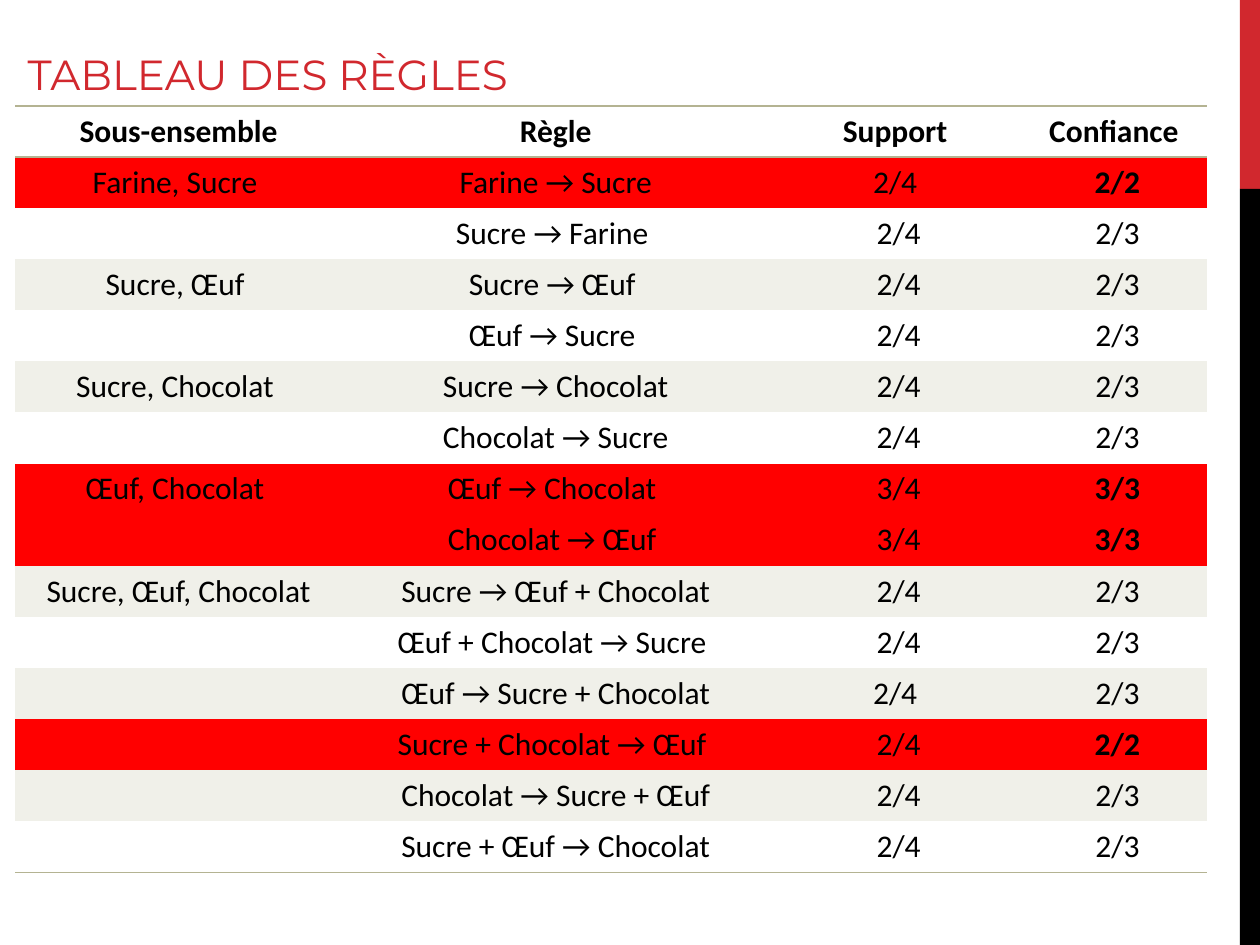
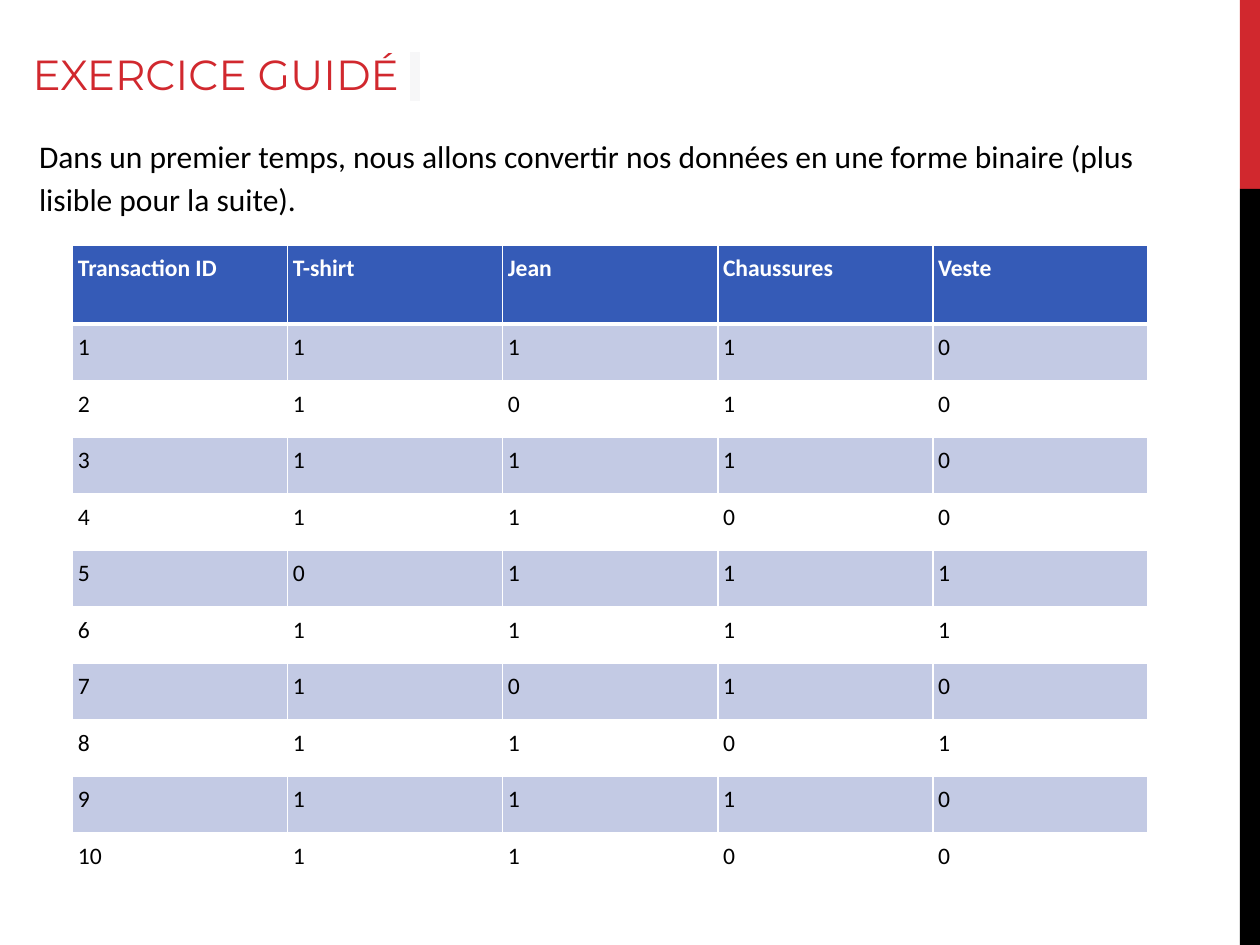
from lxml import etree
from pptx import Presentation
from pptx.dml.color import RGBColor
from pptx.enum.shapes import MSO_SHAPE
from pptx.enum.text import MSO_ANCHOR, MSO_AUTO_SIZE, PP_ALIGN
from pptx.oxml.ns import qn
from pptx.util import Pt

RECT = MSO_SHAPE.RECTANGLE
LEFT, CENTER = PP_ALIGN.LEFT, PP_ALIGN.CENTER
TOP, MIDDLE, BOTTOM = MSO_ANCHOR.TOP, MSO_ANCHOR.MIDDLE, MSO_ANCHOR.BOTTOM
NO_FIT = MSO_AUTO_SIZE.NONE

COLORS = {
    "accent": "D1282E", "black": "000000", "white": "FFFFFF",
    "rule_line": "B4B392", "band": "F0F0E9", "strong": "FF0000",
    "head": "355BB7", "stripe": "C3CAE4",
    "grey": "374151", "highlight": "F7F7F8",
}
TITLE = {"size": Pt(24), "name": "Montserrat", "bold": False}
BODY = {"size": Pt(18), "name": "Calibri", "bold": False}
CELL = {"size": Pt(13.5), "name": "Calibri", "bold": False}


def add_run(p, text, fmt, color):
    r = p.add_run()
    r.text = text
    r.font.color.rgb = RGBColor.from_string(COLORS[color])
    for name, value in fmt.items():
        setattr(r.font, name, value)
    return r


def style_cell(cell, fill, borders, inset_x, inset_y, anchor):
    """Set borders (side -> (colour, points), others hidden), fill and margins."""
    tc_pr = cell._tc.get_or_add_tcPr()
    for side in "LRTB":
        ln = etree.SubElement(tc_pr, qn(f"a:ln{side}"))
        if side in borders:
            color, width = borders[side]
            ln.set("w", str(Pt(width)))
            solid = etree.SubElement(ln, qn("a:solidFill"))
            etree.SubElement(solid, qn("a:srgbClr"), val=COLORS[color])
        else:
            ln.set("w", "0")
            etree.SubElement(ln, qn("a:noFill"))
    if fill:
        cell.fill.solid()
        cell.fill.fore_color.rgb = RGBColor.from_string(COLORS[fill])
    else:
        cell.fill.background()
    cell.margin_left = cell.margin_right = Pt(inset_x)
    cell.margin_top = cell.margin_bottom = Pt(inset_y)
    cell.vertical_anchor = anchor


prs = Presentation()
prs.slide_width, prs.slide_height = Pt(720), Pt(540)

# Shared title and side bands
slides = []
for layout, title, left in ((5, "TABLEAU DES RÈGLES", 8.6), (1, "EXERCICE GUIDÉ ", 11.5)):
    s = prs.slides.add_slide(prs.slide_layouts[layout])
    for top, height, color in ((0, 108, "accent"), (108, 432, "black")):
        sp = s.shapes.add_shape(RECT, Pt(708.5), Pt(top), Pt(11.5), Pt(height))
        sp.shadow.inherit = False
        sp.fill.solid()
        sp.fill.fore_color.rgb = RGBColor.from_string(COLORS[color])
        sp.line.fill.background()
    sp = s.shapes.title
    sp.left, sp.top, sp.width, sp.height = Pt(left), Pt(9.4), Pt(612), Pt(51)
    tf = sp.text_frame
    tf.auto_size, tf.vertical_anchor = NO_FIT, BOTTOM
    tf.paragraphs[0].alignment = LEFT
    add_run(tf.paragraphs[0], title, TITLE, "accent")
    slides.append(s)
rules_slide, exercise_slide = slides

# Slide 1: association rules
RULES = [
    ("Sous-ensemble", "Règle", "Support ", "Confiance "),
    ("Farine, Sucre ", "Farine → Sucre", "2/4 ", "2/2"),
    ("", "Sucre → Farine ", "2/4", "2/3"),
    ("Sucre, Œuf ", "Sucre → Œuf ", "2/4", "2/3"),
    ("", "Œuf → Sucre ", "2/4", "2/3"),
    ("Sucre, Chocolat ", "Sucre → Chocolat", "2/4", "2/3"),
    ("", "Chocolat → Sucre", "2/4", "2/3"),
    ("Œuf, Chocolat ", "Œuf → Chocolat ", "3/4", "3/3"),
    ("", "Chocolat → Œuf ", "3/4", "3/3"),
    ("Sucre, Œuf, Chocolat", "Sucre → Œuf + Chocolat", "2/4", "2/3"),
    ("", "Œuf + Chocolat → Sucre ", "2/4", "2/3"),
    ("", "Œuf → Sucre + Chocolat", "2/4 ", "2/3"),
    ("", "Sucre + Chocolat → Œuf ", "2/4", "2/2"),
    ("", "Chocolat → Sucre + Œuf", "2/4", "2/3"),
    ("", "Sucre + Œuf → Chocolat", "2/4", "2/3"),
]
RULE_COLS = (187, 244, 148, 102)
row_height = 29.2
last = len(RULES) - 1
table = rules_slide.shapes.add_table(
    len(RULES), len(RULE_COLS), Pt(8.6), Pt(60.5),
    Pt(sum(RULE_COLS)), Pt(row_height * len(RULES))).table
table.first_row = table.horz_banding = False
for column, width in zip(table.columns, RULE_COLS):
    column.width = Pt(width)
for i, values in enumerate(RULES):
    table.rows[i].height = Pt(row_height)
    certain = values[3] in ("2/2", "3/3")
    fill = "strong" if certain else "band" if i % 2 and i else None
    line = ("rule_line", 1)
    borders = {}
    if i in (0, 1):
        borders["T"] = line
    if i in (0, last):
        borders["B"] = line
    for j, text in enumerate(values):
        cell = table.cell(i, j)
        style_cell(cell, fill, borders, 7.2, 3.6, MIDDLE)
        p = cell.text_frame.paragraphs[0]
        p.alignment = CENTER
        if text:
            bold = i == 0 or (certain and j == 3)
            add_run(p, text, {**BODY, "bold": bold}, "black")

# Slide 2: highlighted end of the title
p = exercise_slide.shapes.title.text_frame.paragraphs[0]
r = add_run(p, " ", {"size": Pt(24)}, "grey")
mark = etree.SubElement(r.font._element, qn("a:highlight"))
etree.SubElement(mark, qn("a:srgbClr"), val=COLORS["highlight"])
r.font.name = "Roboto"

# Slide 2: introduction
sp = exercise_slide.placeholders[1]
sp.left, sp.top, sp.width, sp.height = Pt(15.1), Pt(71.3), Pt(680), Pt(436)
tf = sp.text_frame
tf.auto_size, tf.vertical_anchor = NO_FIT, TOP
p = tf.paragraphs[0]
p_pr = p._p.get_or_add_pPr()
p_pr.set("marL", "0")
p_pr.set("indent", "0")
etree.SubElement(p_pr, qn("a:buNone"))
p.line_spacing, p.space_before = 1.15, Pt(0)
add_run(p, "Dans un premier temps, nous allons convertir nos données en une forme "
           "binaire (plus lisible pour la suite).", BODY, "black")

# Slide 2: binary transactions
ITEMS = ("Transaction ID", "T-shirt", "Jean", "Chaussures", "Veste")
BASKETS = ("1110", "1010", "1110", "1100", "0111",
           "1111", "1010", "1101", "1110", "1100")
rows = [ITEMS] + [(str(n), *bits) for n, bits in enumerate(BASKETS, 1)]
head_height, row_height, col_width = 45.2, 32.3, 122.9
table = exercise_slide.shapes.add_table(
    len(rows), len(ITEMS), Pt(41.6), Pt(140),
    Pt(col_width * len(ITEMS)), Pt(head_height + row_height * len(BASKETS))).table
table.first_row = table.horz_banding = False
for column in table.columns:
    column.width = Pt(col_width)
for i, values in enumerate(rows):
    head = i == 0
    table.rows[i].height = Pt(head_height if head else row_height)
    fill = "head" if head else "stripe" if i % 2 else "white"
    borders = dict.fromkeys("LRTB", ("white", 0.75))
    if i < 2:
        borders["B" if head else "T"] = ("white", 2.25)
    for j, text in enumerate(values):
        cell = table.cell(i, j)
        style_cell(cell, fill, borders, 2.9, 2.9, TOP)
        p = cell.text_frame.paragraphs[0]
        p.line_spacing = 1.15
        add_run(p, text, {**CELL, "bold": head}, "white" if head else "black")

prs.save("out.pptx")
